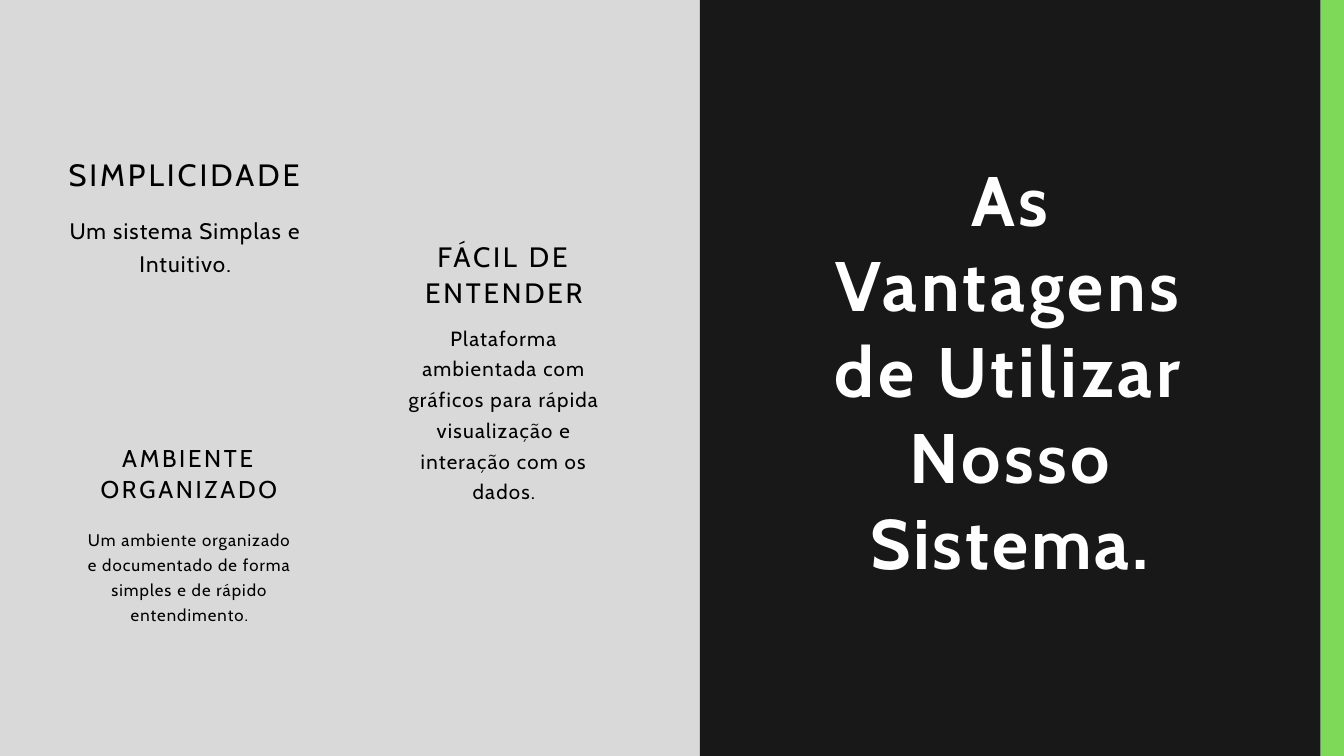
from pptx import Presentation
from pptx.dml.color import RGBColor
from pptx.enum.shapes import MSO_SHAPE
from pptx.enum.text import PP_ALIGN
from pptx.util import Pt

WIDE, HIGH = 1440, 810
SPLIT, EDGE = 750, 1415

# left, right, colour of each full-height panel
PANELS = [
    (0, SPLIT, "D9D9D9"),
    (SPLIT, EDGE, "181818"),
    (EDGE, WIDE, "7DD957"),
]


def style(size, track, line=1.0, before=1.0, color="000000", bold=False):
    font = {"name": "Cabin", "size": Pt(size), "bold": bold}
    para = {"alignment": PP_ALIGN.CENTER, "line_spacing": line,
            "space_before": Pt(before)}
    return {"font": font, "para": para, "track": track, "color": color}


BIG = {"size": 75, "color": "FFFFFF", "bold": True}

# (left, top, width, height), then (text, style) for each paragraph
TEXTS = [
    ((66.5, 166.3, 262, 42), [("SIMPLICIDADE", style(33, 3.2))]),
    ((69, 224, 259, 74),
     [("Um sistema Simplas e Intuitivo.", style(24, 1.15, 1.25))]),
    ((430, 252.7, 220, 289), [
        ("FÁCIL DE ENTENDER", style(30, 3, 1.08)),
        ("Plataforma ambientada com gráficos para rápida visualização "
         "e interação com os dados.", style(22, 1.3, 1.25, 10.8)),
    ]),
    ((106, 470.9, 193, 70),
     [("AMBIENTE ORGANIZADO", style(26, 2.85, 1.08))]),
    ((89.3, 560.9, 227.5, 110),
     [("Um ambiente organizado e documentado de forma simples e de "
       "rápido entendimento.", style(18, 1.1, 1.25))]),
    ((860.4, 166.3, 442.8, 461), [
        ("As", style(track=3.1, **BIG)),
        ("Vantagens de Utilizar Nosso",
         style(track=4, line=1.02, before=0, **BIG)),
        ("Sistema.", style(track=3.1, before=2.2, **BIG)),
    ]),
]


def rgb(code):
    return RGBColor.from_string(code)


def assign(item, values):
    for key, value in values.items():
        setattr(item, key, value)


def panel(slide, left, right, color):
    shape = slide.shapes.add_shape(
        MSO_SHAPE.RECTANGLE, Pt(left), 0, Pt(right - left), Pt(HIGH))
    shape.shadow.inherit = False
    shape.fill.solid()
    shape.fill.fore_color.rgb = rgb(color)
    shape.line.fill.background()


def write(slide, place, lines):
    frame = slide.shapes.add_textbox(*map(Pt, place)).text_frame
    assign(frame, {"word_wrap": True, "margin_left": 0, "margin_right": 0,
                   "margin_top": Pt(1), "margin_bottom": 0})
    for i, (text, look) in enumerate(lines):
        para = frame.add_paragraph() if i else frame.paragraphs[0]
        assign(para, look["para"])
        run = para.add_run()
        run.text = text
        assign(run.font, look["font"])
        run.font.color.rgb = rgb(look["color"])
        run._r.get_or_add_rPr().set("spc", str(round(look["track"] * 100)))


def main():
    deck = Presentation()
    assign(deck, {"slide_width": Pt(WIDE), "slide_height": Pt(HIGH)})
    slide = deck.slides.add_slide(deck.slide_layouts[6])
    for item in PANELS:
        panel(slide, *item)
    for place, lines in TEXTS:
        write(slide, place, lines)
    deck.save("out.pptx")


if __name__ == "__main__":
    main()
